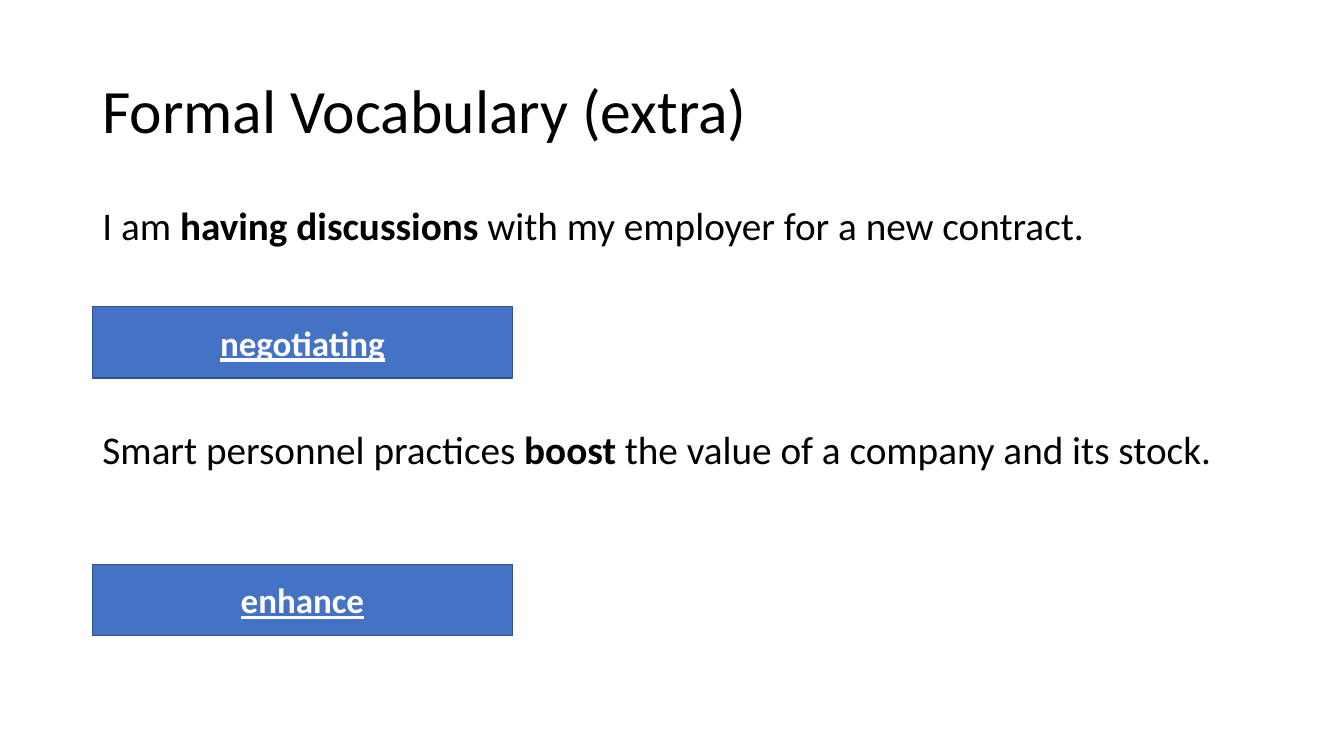
"""Build the formal vocabulary slide with two sentences and their answers."""
from lxml import etree
from pptx import Presentation
from pptx.dml.color import RGBColor
from pptx.enum.shapes import MSO_SHAPE
from pptx.enum.text import MSO_ANCHOR, MSO_AUTO_SIZE, PP_ALIGN
from pptx.oxml.ns import qn
from pptx.util import Pt


def style(r, size, color, bold=False):
    r.font.name = "Calibri"
    r.font.size = Pt(size)
    r.font.bold = bold
    r.font.color.rgb = RGBColor.from_string(color)


def place(sp, top, height):
    sp.left, sp.top, sp.width, sp.height = Pt(66), Pt(top), Pt(828), Pt(height)
    sp.text_frame.auto_size = MSO_AUTO_SIZE.NONE
    sp.text_frame.word_wrap = True


prs = Presentation()
prs.slide_width, prs.slide_height = Pt(960), Pt(540)
s = prs.slides.add_slide(prs.slide_layouts[1])

title = s.shapes.title
place(title, 28.75, 104.4)
tf = title.text_frame
tf.text = "Formal Vocabulary (extra)"
tf.vertical_anchor = MSO_ANCHOR.MIDDLE
p = tf.paragraphs[0]
p.alignment = PP_ALIGN.LEFT
p.line_spacing = 0.9
style(p.runs[0], 44, "000000")

body = s.placeholders[1]
place(body, 143.75, 378)
tf = body.text_frame
sentences = [
    (10, ["I am ", "having discussions", " with my employer for a new contract."]),
    (130, ["Smart personnel practices ", "boost",
           " the value of a company and its stock."]),
]
for i, (gap, parts) in enumerate(sentences):
    p = tf.paragraphs[0] if i == 0 else tf.add_paragraph()
    p.line_spacing = 0.9
    p.space_before = Pt(gap)
    for j, part in enumerate(parts):
        r = p.add_run()
        r.text = part
        style(r, 28, "000000", bold=j == 1)
    pPr = p._p.get_or_add_pPr()
    pPr.set("marL", "0")
    pPr.set("indent", "0")
    etree.SubElement(pPr, qn("a:buNone"))

for top, answer in [(219, "negotiating"), (403, "enhance")]:
    sp = s.shapes.add_shape(MSO_SHAPE.RECTANGLE, Pt(66), Pt(top), Pt(300), Pt(51))
    sp.shadow.inherit = False
    sp.fill.solid()
    sp.fill.fore_color.rgb = RGBColor.from_string("4472C4")
    sp.line.color.rgb = RGBColor.from_string("325491")
    sp.line.width = Pt(1)
    tf = sp.text_frame
    tf.text = answer
    tf.vertical_anchor = MSO_ANCHOR.MIDDLE
    p = tf.paragraphs[0]
    p.alignment = PP_ALIGN.CENTER
    r = p.runs[0]
    style(r, 25, "FFFFFF", bold=True)
    r.font.underline = True

prs.save("out.pptx")
